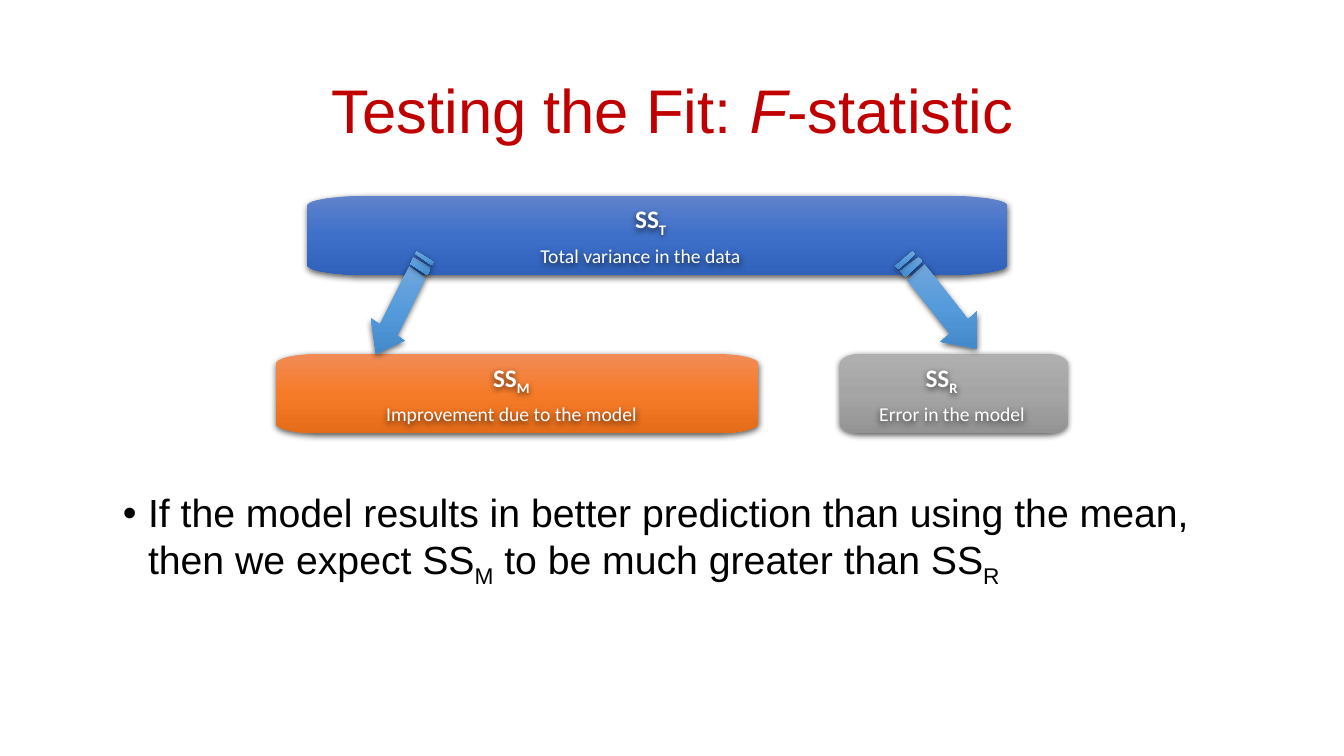
"""Build a slide on how total variance splits for the F-statistic."""
from copy import deepcopy
from dataclasses import dataclass
from math import cos, pi, sin

from lxml.etree import SubElement
from pptx import Presentation
from pptx.dml.color import RGBColor
from pptx.enum.text import MSO_ANCHOR, PP_ALIGN
from pptx.oxml.ns import qn
from pptx.util import Inches, Pt

Spot = tuple[float, float]
Words = list[tuple[str, str]]

COLORS = {
    "title": "C00000", "body": "000000", "label": "FFFFFF", "shadow": "000000",
    "blue0": "6183CB", "blue1": "3E70CA", "blue2": "3062BB",
    "orange0": "F18C57", "orange1": "F67B28", "orange2": "E56C19",
    "gray0": "AFAFAF", "gray1": "A5A5A5", "gray2": "939393",
    "arrow0": "71A6DB", "arrow1": "559BDB", "arrow2": "448ACA",
}
TALL = 0.79


@dataclass
class Text:
    words: Words
    left: float
    top: float
    width: float
    height: float
    size: float
    color: str
    font: str = "Arial"
    inset: bool = True


@dataclass
class Box:
    left: float
    top: float
    width: float
    curve: float
    hue: str
    letter: str
    head: float
    note: str
    start: float
    span: float


BOXES = [
    Box(8.33, 3.51, 2.26, 0.21, "gray", "R", 9.18, "Error in the model", 8.72, 1.55),
    Box(2.74, 3.51, 4.78, 0.45, "orange", "M", 4.89,
        "Improvement due to the model", 3.83, 2.63),
    Box(3.05, 1.94, 6.94, 0.65, "blue", "T", 6.3,
        "Total variance in the data", 5.36, 2.18),
]
ARROWS: list[list[Spot]] = [
    [(4.01, 3.38), (3.94, 3.33), (4.22, 2.76), (4.06, 2.64), (3.77, 3.22),
     (3.68, 3.16), (3.73, 3.51)],
    [(4.27, 2.66), (4.1, 2.55), (4.07, 2.62), (4.24, 2.73)],
    [(4.3, 2.6), (4.13, 2.49), (4.12, 2.52), (4.28, 2.63)],
    [(9.69, 3.09), (9.6, 3.17), (9.17, 2.62), (9, 2.78), (9.42, 3.31),
     (9.33, 3.39), (9.69, 3.46)],
    [(9.11, 2.55), (8.93, 2.69), (8.98, 2.75), (9.15, 2.59)],
    [(9.05, 2.49), (8.88, 2.64), (8.91, 2.67), (9.08, 2.52)],
]


def add_shade(shape) -> None:
    shape.shadow.inherit = False
    effect = shape._element.spPr.find(qn("a:effectLst"))
    shade = SubElement(effect, qn("a:outerShdw"), blurRad=str(Pt(4.5)),
                       dist=str(Pt(1.5)), dir="5400000", algn="ctr", rotWithShape="0")
    color = SubElement(shade, qn("a:srgbClr"), val=COLORS["shadow"])
    SubElement(color, qn("a:alpha"), val="63000")


def add_form(slide, spots: list[Spot], hue: str) -> None:
    ends = [(Inches(x), Inches(y)) for x, y in spots]
    form = slide.shapes.build_freeform(*ends[0], scale=1.0)
    form.add_line_segments(ends[1:], close=True)
    shape = form.convert_to_shape()
    shape.line.fill.background()
    shape.fill.gradient()
    shape.fill.gradient_angle = 270
    stops = shape._element.spPr.find(qn("a:gradFill")).find(qn("a:gsLst"))
    stops.append(deepcopy(stops[0]))
    for step, stop in enumerate(shape.fill.gradient_stops):
        stop.position = step / 2
        stop.color.rgb = RGBColor.from_string(COLORS[f"{hue}{step}"])
    add_shade(shape)


def round_box(box: Box) -> list[Spot]:
    deep, count = 0.1, 12
    right, base = box.left + box.width - box.curve, TALL + box.top - deep
    mids = [(right, base), (box.left + box.curve, base),
            (box.left + box.curve, box.top + deep), (right, box.top + deep)]
    spots = []
    for turn, (x, y) in enumerate(mids):
        for step in range(count + 1):
            angle = (turn + step / count) * pi / 2
            spots.append((x + box.curve * cos(angle), y + deep * sin(angle)))
    return spots


def add_text(slide, text: Text):
    place = map(Inches, (text.left, text.top, text.width, text.height))
    shape = slide.shapes.add_textbox(*place)
    frame = shape.text_frame
    frame.word_wrap = True
    if not text.inset:
        frame.margin_left = frame.margin_right = 0
        frame.margin_top = frame.margin_bottom = 0
    for words, style in text.words:
        run = frame.paragraphs[0].add_run()
        run.text = words
        run.font.name = text.font
        run.font.size = Pt(text.size)
        run.font.color.rgb = RGBColor.from_string(COLORS[text.color])
        run.font.bold = "b" in style
        run.font.italic = "i" in style
        if "_" in style:
            run.font._element.set("baseline", "-25000")
    return shape


def add_box(slide, box: Box) -> None:
    add_form(slide, round_box(box), box.hue)
    name: Words = [("SS", "b"), (box.letter, "b_")]
    for text in (
        Text(name, box.head, box.top + 0.08, 0.47, 0.3, 18, "label", "Calibri", False),
        Text([(box.note, "")], box.start, box.top + 0.48, box.span, 0.24, 14,
             "label", "Calibri", False),
    ):
        add_shade(add_text(slide, text))


def main() -> None:
    deck = Presentation()
    deck.slide_width, deck.slide_height = Inches(13.33), Inches(7.5)
    slide = deck.slides.add_slide(deck.slide_layouts[6])

    title = add_text(slide, Text(
        [("Testing the Fit: ", ""), ("F", "i"), ("-statistic", "")],
        0.92, 0.4, 11.5, 1.45, 44, "title")).text_frame
    title.vertical_anchor = MSO_ANCHOR.MIDDLE
    title.paragraphs[0].alignment = PP_ALIGN.CENTER
    title.paragraphs[0].line_spacing = 0.9

    body = add_text(slide, Text(
        [("If the model results in better prediction than using the mean, "
          "then we expect SS", ""), ("M", "_"),
         (" to be much greater than SS", ""), ("R", "_")],
        1.12, 4.85, 11.02, 1.85, 28, "body")).text_frame.paragraphs[0]
    body.line_spacing = 0.9
    body.space_before = Pt(10)
    props = body._p.get_or_add_pPr()
    props.set("marL", str(Inches(0.25)))
    props.set("indent", str(Inches(-0.25)))
    SubElement(props, qn("a:buFont"), typeface="Arial")
    SubElement(props, qn("a:buChar"), char="•")

    for box in BOXES:
        add_box(slide, box)
    for spots in ARROWS:
        add_form(slide, spots, "arrow")
    deck.save("out.pptx")


if __name__ == "__main__":
    main()
